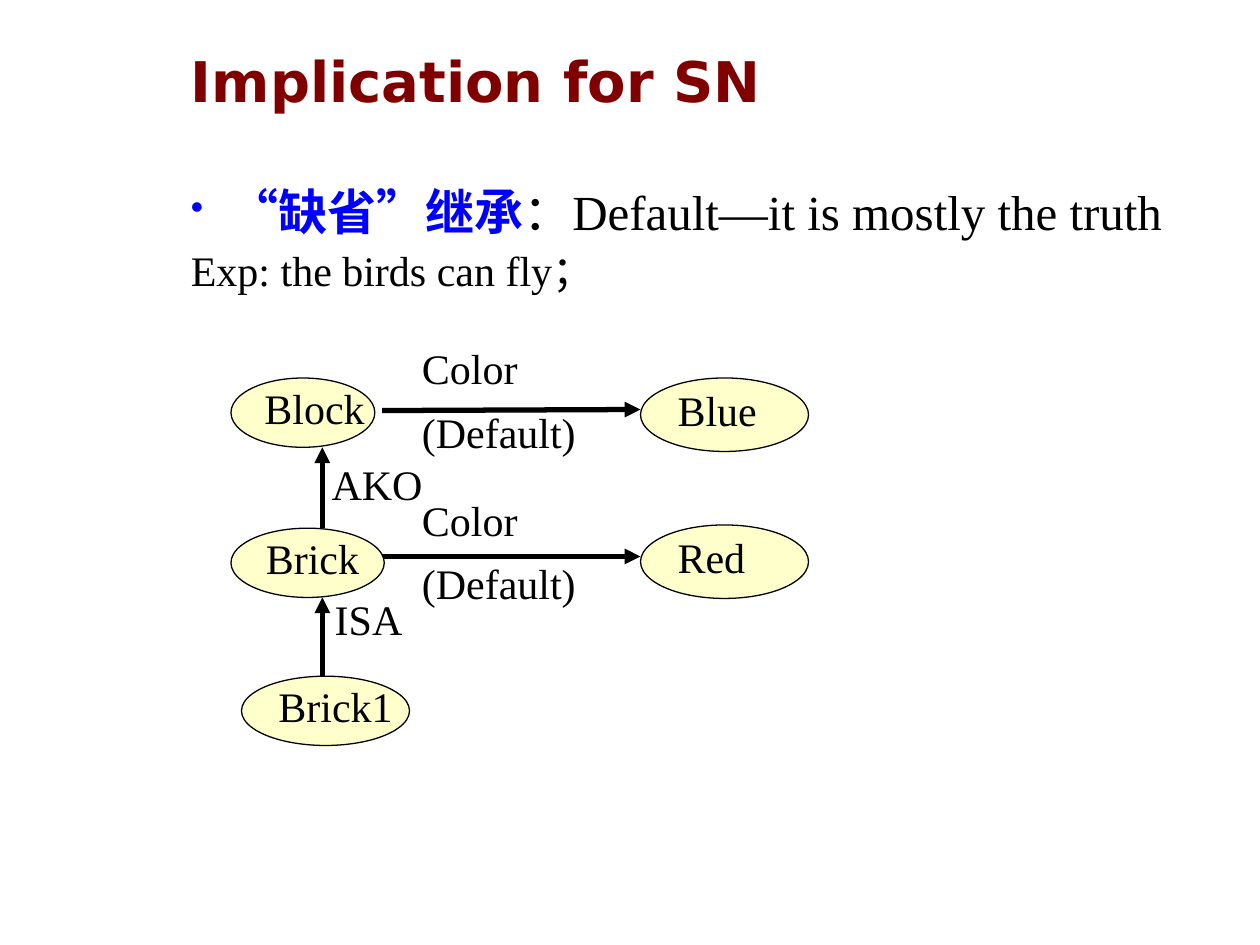
from pptx import Presentation
from pptx.dml.color import RGBColor
from pptx.enum.shapes import MSO_CONNECTOR, MSO_SHAPE
from pptx.enum.text import MSO_ANCHOR, PP_ALIGN
from pptx.oxml.ns import qn
from pptx.util import Inches, Pt
from lxml.etree import SubElement

INK = {"text": "000000", "key": "0000FF", "head": "800000", "node": "FFFFCC"}
SERIF, SANS = "Times New Roman", "DejaVu Sans"
CELL = 1 / 12  # grid cell in inches: 120 columns by 90 rows


class Board:
    def __init__(self, deck):
        self.deck = deck
        self.slide = deck.slides.add_slide(deck.slide_layouts[6])
        self.shapes = self.slide.shapes

    def grid(self, *cells):
        return [Inches(n * CELL) for n in cells]

    def color(self, name):
        return RGBColor.from_string(INK[name])

    def run(self, para, text, size=24, ink="text", bold=False, face=SERIF):
        run = para.add_run()
        run.text = text
        font = run.font
        font.size, font.bold, font.name = Pt(size), bold, face
        font.color.rgb = self.color(ink)

    def box(self, x, y, w, h, anchor=MSO_ANCHOR.TOP):
        frame = self.shapes.add_textbox(*self.grid(x, y, w, h)).text_frame
        frame.word_wrap = True
        frame.vertical_anchor = anchor
        return frame

    def lines(self, frame, *texts):
        for i, text in enumerate(texts):
            para = frame.add_paragraph() if i else frame.paragraphs[0]
            para.alignment = PP_ALIGN.LEFT
            para.line_spacing = 0.8
            if i:
                para.space_before = Pt(13)
            self.run(para, text)

    def label(self, x, y, w, h, *texts):
        self.lines(self.box(x, y, w, h), *texts)

    def node(self, x, y, w, h, text):
        oval = self.shapes.add_shape(MSO_SHAPE.OVAL, *self.grid(x, y, w, h))
        oval.shadow.inherit = False
        oval.fill.solid()
        oval.fill.fore_color.rgb = self.color("node")
        oval.line.color.rgb = self.color("text")
        oval.line.width = Pt(0.75)
        frame = oval.text_frame
        frame.word_wrap = False
        frame.vertical_anchor = MSO_ANCHOR.MIDDLE
        self.lines(frame, text)

    def arrow(self, *ends):
        link = self.shapes.add_connector(MSO_CONNECTOR.STRAIGHT, *self.grid(*ends))
        link.line.color.rgb = self.color("text")
        link.line.width = Pt(3)
        SubElement(link.line._get_or_add_ln(), qn("a:tailEnd"), type="triangle")
        SubElement(link._element.spPr, qn("a:effectLst"))

    def indent(self, para, mark=None):
        props = para._p.get_or_add_pPr()
        props.set("marL", str(Inches(0.81)))
        props.set("indent", str(Inches(-0.31)))
        para.line_spacing = 0.9
        if mark:
            SubElement(props, qn("a:buSzPct"), val="75000")
            SubElement(props, qn("a:buChar"), char=mark)
        else:
            SubElement(props, qn("a:buNone"))


def main():
    deck = Presentation()
    deck.slide_width, deck.slide_height = Inches(10), Inches(7.5)
    board = Board(deck)

    # Title
    title = board.box(17, 3, 99.6, 9.2, MSO_ANCHOR.MIDDLE)
    board.run(title.paragraphs[0], "Implication for SN", 32, "head", True, SANS)

    # Body text
    body = board.box(11, 17.3, 102, 13.6)
    first, second = body.paragraphs[0], body.add_paragraph()
    board.indent(first, "•")
    board.run(first, "“缺省”继承", 28, "key", True)
    board.run(first, "：Default—it is mostly the truth", 28)
    board.indent(second)
    second.space_before = Pt(5.6)
    board.run(second, "Exp: the birds can fly；")

    # Arrows: upward relations, then colour values
    stem, side, goal = 30.7, 36.4, 61
    for low, high in ((50.3, 42.6), (64.4, 56.9)):
        board.arrow(stem, low, stem, high)
    for start, end in ((39.1, 39), (53, 53)):
        board.arrow(side, start, goal, end)

    # Nodes
    for x, y, w, text in (
        (22, 36, 13.7, "Block"),
        (22, 50.3, 14.6, "Brick"),
        (23, 64.4, 16, "Brick1"),
    ):
        board.node(x, y, w, 6.6, text)
    for y, text in ((36, "Blue"), (50, "Red")):
        board.node(goal, y, 16, 7, text)

    # Relation labels
    board.label(30.4, 44, 15.4, 5, "AKO")
    board.label(30.7, 56.9, 10.6, 5, "ISA")
    for y in (33, 47.4):
        board.label(39, y, 20, 11.4, "Color", "(Default)")

    deck.save("out.pptx")


if __name__ == "__main__":
    main()
